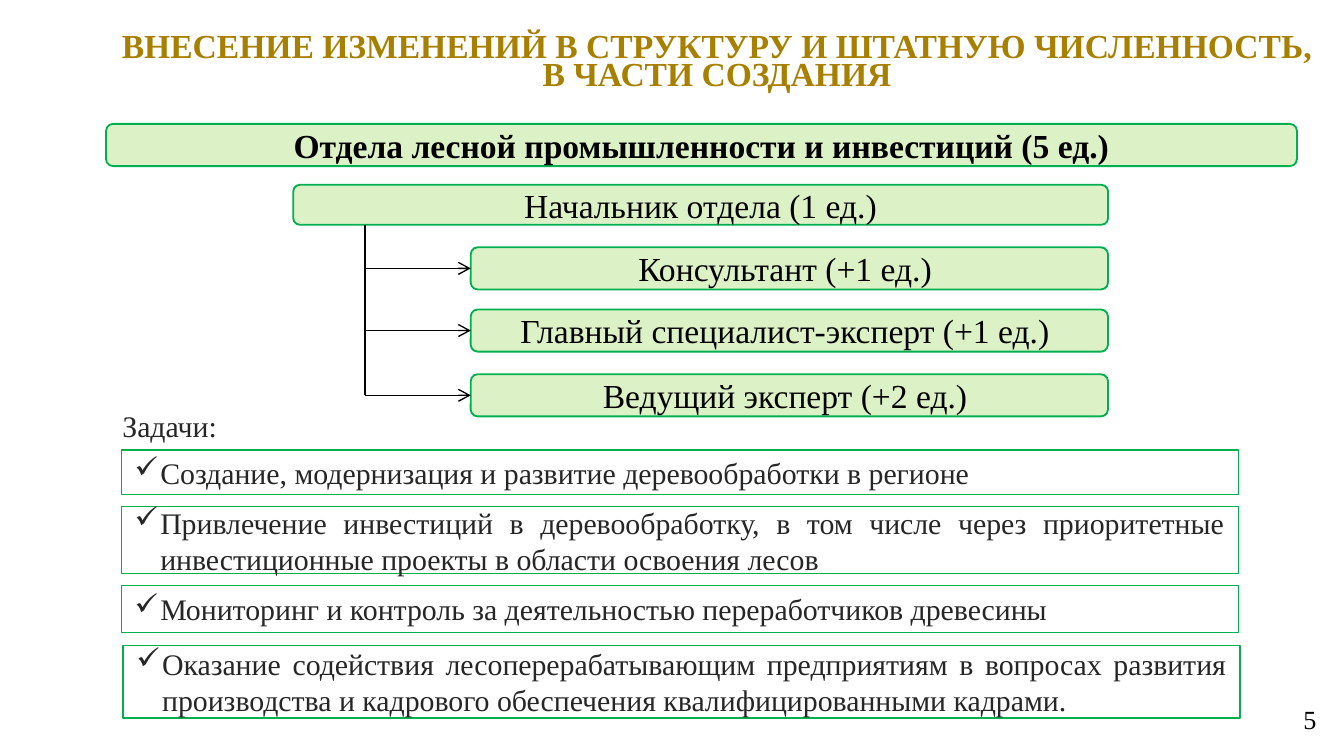
from lxml.etree import SubElement
from pptx import Presentation
from pptx.dml.color import RGBColor
from pptx.enum.shapes import MSO_CONNECTOR as LINE, MSO_SHAPE as SHAPE
from pptx.enum.text import MSO_ANCHOR as ANCHOR, MSO_AUTO_SIZE as AUTO, PP_ALIGN as ALIGN
from pptx.oxml.ns import qn
from pptx.util import Pt

COLORS = {
    "title": "A88000",
    "fill": "DDF1C7",
    "border": "00B050",
    "black": "000000",
    "body": "262626",
}
FONT = "Times New Roman"
TITLE = "ВНЕСЕНИЕ ИЗМЕНЕНИЙ В СТРУКТУРУ И ШТАТНУЮ ЧИСЛЕННОСТЬ, В ЧАСТИ СОЗДАНИЯ"

# text, left, top, width, height, bold
UNITS = [
    ("Отдела лесной промышленности и инвестиций (5 ед.)", 56.8, 66.4, 638, 22.6, True),
    ("Начальник отдела (1 ед.)", 157.1, 99, 436.5, 21.4, False),
]
# text, top
POSITIONS = [
    ("Консультант (+1 ед.) ", 132.5),
    ("Главный специалист-эксперт (+1 ед.) ", 165.8),
    ("Ведущий эксперт (+2 ед.) ", 200.5),
]
POSITION_LEFT, POSITION_WIDTH, POSITION_HEIGHT = 252.2, 341.4, 22.6
TRUNK_X, TRUNK_TOP = 195.6, 120.4

# text, left, top, height
TASKS = [
    ("Создание, модернизация и развитие деревообработки в регионе", 65, 241.2, 23.8),
    ("Привлечение инвестиций в деревообработку, в том числе через приоритетные "
     "инвестиционные проекты в области освоения лесов", 65, 271.5, 35.8),
    ("Мониторинг и контроль за деятельностью переработчиков древесины", 65, 313.8, 25),
    ("Оказание содействия лесоперерабатывающим предприятиям в вопросах развития "
     "производства и кадрового обеспечения квалифицированными кадрами.", 66, 345.8, 39),
]
TASK_WIDTH = 598.4


def rgb(name):
    return RGBColor.from_string(COLORS[name])


def write(shape, text, size, color="black", align=ALIGN.CENTER, bold=False, bullet=None):
    frame = shape.text_frame
    settings = {"word_wrap": True, "auto_size": AUTO.NONE, "vertical_anchor": ANCHOR.MIDDLE}
    for name, value in settings.items():
        setattr(frame, name, value)
    frame.text = text
    para = frame.paragraphs[0]
    para.alignment = align
    if bullet:
        add_bullet(para, bullet)
    span = para.runs[0]
    for name, value in {"name": FONT, "size": Pt(size), "bold": bold}.items():
        setattr(span.font, name, value)
    span.font.color.rgb = rgb(color)
    return para


def add_bullet(para, mark, indent=13.8):
    props = para._p.get_or_add_pPr()
    props.set("marL", str(Pt(indent)))
    props.set("indent", str(-Pt(indent)))
    SubElement(props, qn("a:buChar"), char=mark)


def add_title(page):
    title = page.shapes.title
    place = {"left": 56.2, "top": 4.3, "width": 656, "height": 59.8}
    for name, value in place.items():
        setattr(title, name, Pt(value))
    write(title, TITLE, 18, "title", bold=True).line_spacing = 0.7


def add_box(page, kind, left, top, width, height, fill=None, weight=1):
    box = page.shapes.add_shape(kind, Pt(left), Pt(top), Pt(width), Pt(height))
    box.shadow.inherit = False
    if fill:
        box.fill.solid()
        box.fill.fore_color.rgb = rgb(fill)
    else:
        box.fill.background()
    box.line.color.rgb = rgb("border")
    box.line.width = Pt(weight)
    return box


def add_unit(page, text, left, top, width, height, bold=False):
    box = add_box(page, SHAPE.ROUNDED_RECTANGLE, left, top, width, height, "fill")
    write(box, text, 18, bold=bold)


def add_task(page, text, left, top, height):
    box = add_box(page, SHAPE.RECTANGLE, left, top, TASK_WIDTH, height, weight=0.75)
    write(box, text, 16, "body", ALIGN.JUSTIFY, bullet="✓")


def add_label(page, text, left, top, width, height, size, color, align):
    label = page.shapes.add_textbox(Pt(left), Pt(top), Pt(width), Pt(height))
    write(label, text, size, color, align)


def add_line(page, x1, y1, x2, y2, arrow=False):
    line = page.shapes.add_connector(LINE.STRAIGHT, Pt(x1), Pt(y1), Pt(x2), Pt(y2))
    line.line.color.rgb = rgb("black")
    line.line.width = Pt(0.75)
    if arrow:
        SubElement(line.line._get_or_add_ln(), qn("a:tailEnd"), type="arrow")
    SubElement(line._element.spPr, qn("a:effectLst"))


def add_positions(page):
    """Draw the staff positions and the tree of arrows that leads to them."""
    for text, top in POSITIONS:
        add_unit(page, text, POSITION_LEFT, top, POSITION_WIDTH, POSITION_HEIGHT)
        middle = top + POSITION_HEIGHT / 2
        add_line(page, TRUNK_X, middle, POSITION_LEFT, middle, arrow=True)
    add_line(page, TRUNK_X, TRUNK_TOP, TRUNK_X, middle)


def main():
    deck = Presentation()
    deck.slide_width, deck.slide_height = Pt(720), Pt(405)
    page = deck.slides.add_slide(deck.slide_layouts[5])
    add_title(page)
    for unit in UNITS:
        add_unit(page, *unit)
    add_positions(page)
    add_label(page, "Задачи:", 58.5, 215.4, 78, 25.4, 16, "body", ALIGN.LEFT)
    for task in TASKS:
        add_task(page, *task)
    add_label(page, "5", 544.4, 374.4, 168, 21.6, 14, "black", ALIGN.RIGHT)
    deck.save("out.pptx")


if __name__ == "__main__":
    main()
